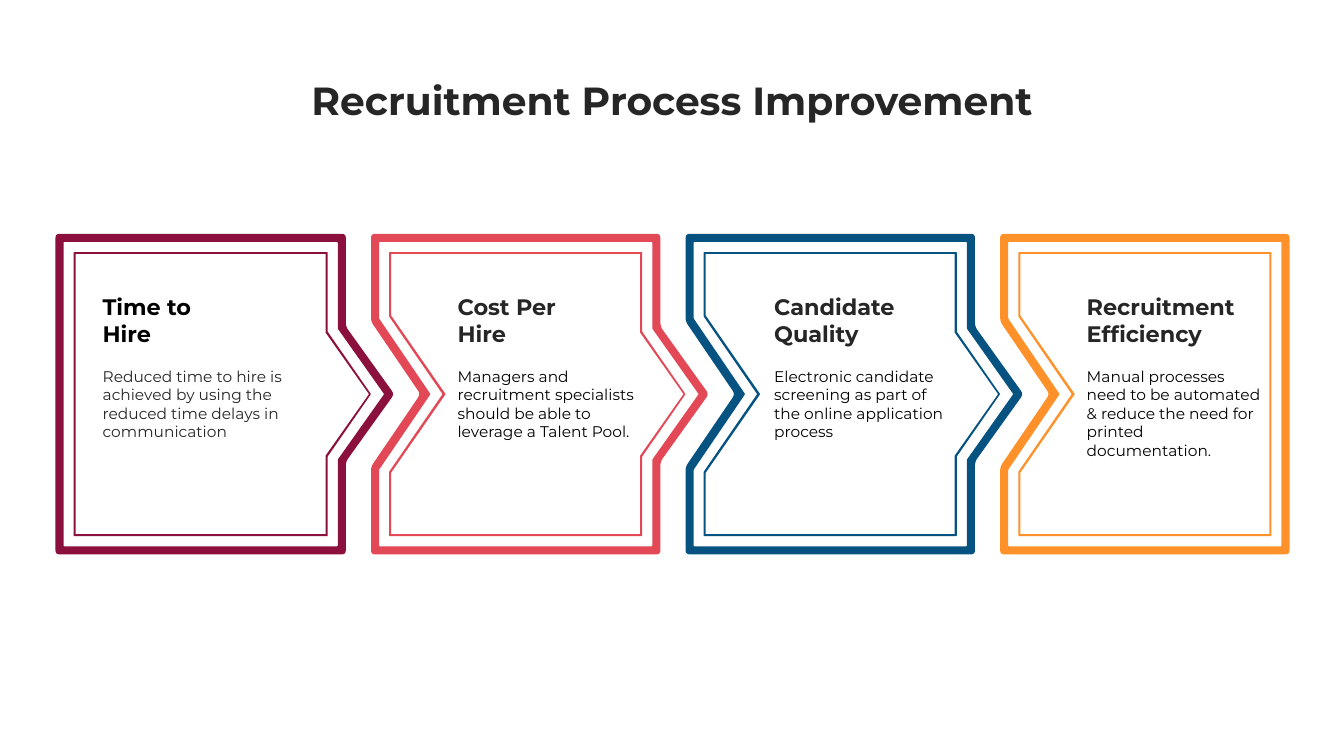
from pptx import Presentation
from pptx.dml.color import RGBColor
from pptx.enum.text import MSO_ANCHOR, MSO_AUTO_SIZE, PP_ALIGN
from pptx.util import Inches, Pt

COLORS = {"wine": "8B103D", "coral": "E34856", "blue": "065381",
          "orange": "FE912A", "ink": "262626", "black": "000000"}
FONT = "Montserrat"
PITCH = 3.12
MIDDLE = 3.91
TOP, BOTTOM = 2.32, 5.5

PANELS = [
    ("wine", "Time to Hire", "black", 1.36,
     "Reduced time to hire is achieved by using the reduced time delays in communication",
     "ink", 2.31, 0.92),
    ("coral", "Cost Per Hire", "ink", 1.46,
     "Managers and recruitment specialists should be able to leverage a Talent Pool.",
     "black", 2.08, 4.44),
    ("blue", "Candidate Quality", "ink", 1.45,
     "Electronic candidate screening as part of the online application process",
     "black", 1.92, 7.58),
    ("orange", "Recruitment Efficiency", "ink", 1.8,
     "Manual processes need to be automated & reduce the need for printed documentation.",
     "black", 1.99, 10.68),
]

# inset, notch depth, notch half height, tip depth, tip half height, corner radius
THICK_FRAME = [(0, 0.49, 0.72, 0.48, 0.67, 0.04), (0.08, 0.51, 0.75, 0.46, 0.65, 0.01)]
THIN_FRAME = [(0.18, 0.53, 0.77, 0.43, 0.62, 0.01), (0.2, 0.54, 0.78, 0.43, 0.61, 0)]


def rounded(corners, radius):
    if not radius:
        return corners
    points = []
    for index, (x, y) in enumerate(corners):
        ends = []
        for near_x, near_y in (corners[index - 1], corners[(index + 1) % len(corners)]):
            share = radius / ((near_x - x) ** 2 + (near_y - y) ** 2) ** 0.5
            ends.append((x + (near_x - x) * share, y + (near_y - y) * share))
        (start_x, start_y), (end_x, end_y) = ends
        for step in range(5):
            t = step / 4
            a, b, c = (1 - t) ** 2, 2 * t * (1 - t), t ** 2
            points.append((a * start_x + b * x + c * end_x, a * start_y + b * y + c * end_y))
    return points


def outline(number, inset, notch, notch_half, tip, tip_half, radius):
    first, last = number == 0, number == len(PANELS) - 1
    left = (0.55 if first else 0.56 + PITCH * number) + inset
    right = 3.43 + PITCH * number - inset
    corners = [(left, TOP + inset), (right, TOP + inset)]
    if not last:
        corners += [(right, MIDDLE - tip_half), (right + tip, MIDDLE), (right, MIDDLE + tip_half)]
    corners += [(right, BOTTOM - inset), (left, BOTTOM - inset)]
    if not first:
        corners += [(left, MIDDLE + notch_half), (left + notch, MIDDLE), (left, MIDDLE - notch_half)]
    return [(Inches(x), Inches(y)) for x, y in rounded(corners, radius)]


def add_frame(page, number, edges, color):
    outer, inner = [outline(number, *edge) for edge in edges]
    builder = page.shapes.build_freeform(*outer[0])
    builder.add_line_segments(outer[1:], close=True)
    builder.move_to(*inner[0])
    builder.add_line_segments(inner[1:], close=True)
    frame = builder.convert_to_shape()
    frame.shadow.inherit = False
    frame.fill.solid()
    frame.fill.fore_color.rgb = RGBColor.from_string(COLORS[color])
    frame.line.fill.background()


def write(box, text, size, color, bold=False, align=PP_ALIGN.LEFT):
    frame = box.text_frame
    layout = {"word_wrap": True, "auto_size": MSO_AUTO_SIZE.SHAPE_TO_FIT_TEXT,
              "vertical_anchor": MSO_ANCHOR.TOP}
    for name, value in layout.items():
        setattr(frame, name, value)
    para = frame.paragraphs[0]
    para.alignment = align
    span = para.add_run()
    span.text = text
    for name, value in {"name": FONT, "size": Pt(size), "bold": bold}.items():
        setattr(span.font, name, value)
    span.font.color.rgb = RGBColor.from_string(COLORS[color])


def add_text(page, left, top, width, height, text, size, color, bold=False):
    box = page.shapes.add_textbox(Inches(left), Inches(top), Inches(width), Inches(height))
    write(box, text, size, color, bold)


def add_title(page, text):
    title = page.shapes.title
    place = {"left": 0, "top": 0.71, "width": 13.33, "height": 0.57}
    for name, value in place.items():
        setattr(title, name, Inches(value))
    write(title, text, 28, "ink", True, PP_ALIGN.CENTER)


def main():
    deck = Presentation()
    deck.slide_width, deck.slide_height = Inches(13.33), Inches(7.5)
    page = deck.slides.add_slide(deck.slide_layouts[5])
    add_title(page, "Recruitment Process Improvement")
    for number, panel in enumerate(PANELS):
        color, heading, heading_color, heading_width, body, body_color, body_width, left = panel
        for edges in (THICK_FRAME, THIN_FRAME):
            add_frame(page, number, edges, color)
        add_text(page, left, 3.59, body_width, 0.84, body, 11, body_color)
        add_text(page, left, 2.86, heading_width, 0.62, heading, 16, heading_color, True)
    deck.save("out.pptx")


if __name__ == "__main__":
    main()
